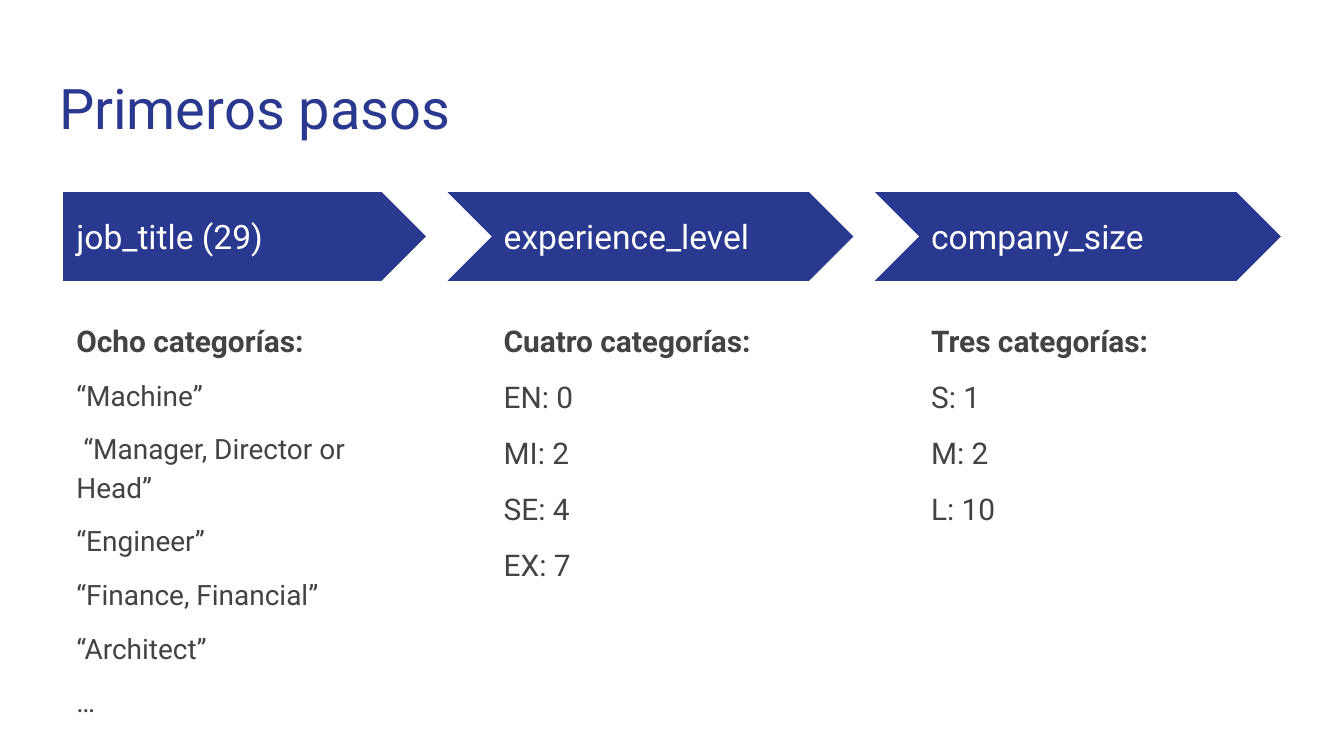
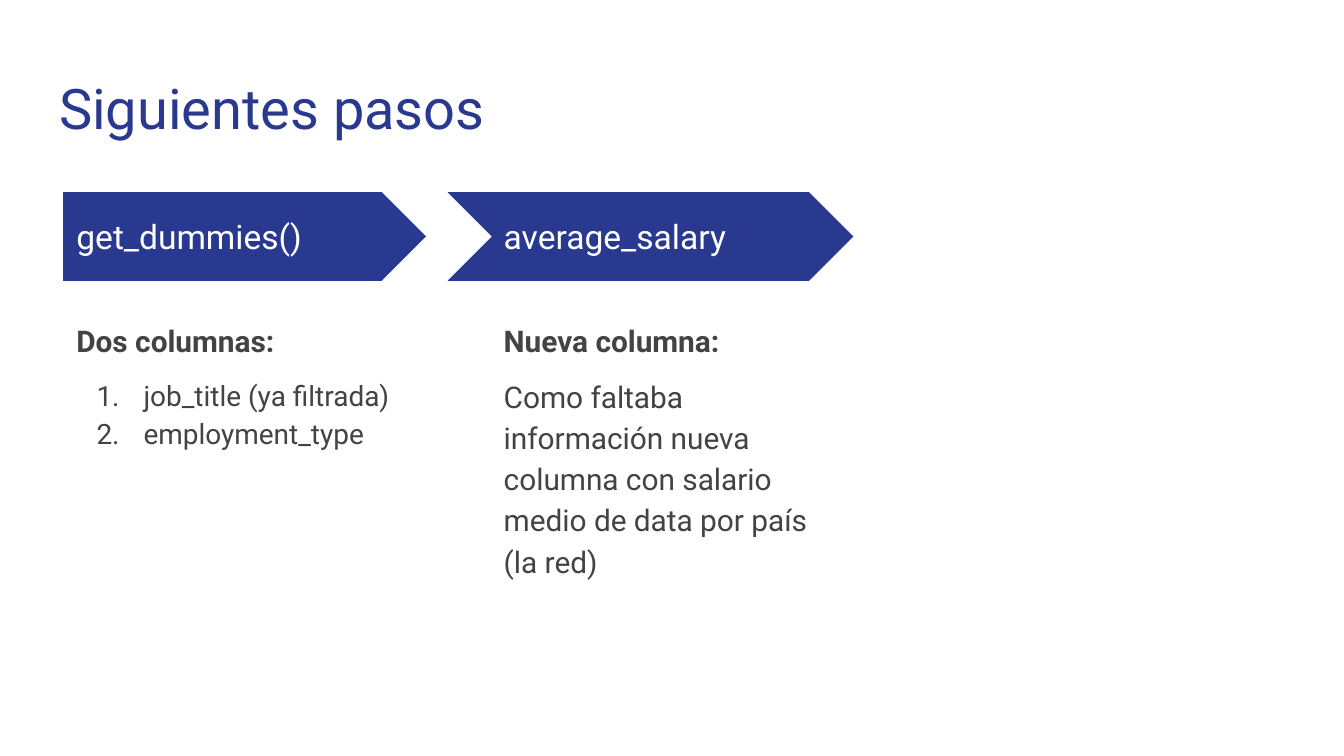
from lxml import etree
from pptx import Presentation
from pptx import util as u
from pptx.dml.color import RGBColor
from pptx.enum import shapes, text
from pptx.oxml import ns

PX = 9144  # 100 px to the inch
BLUE = RGBColor(0x2A, 0x39, 0x90)
GREY = RGBColor(0x43, 0x43, 0x43)
WHITE = RGBColor(0xFF, 0xFF, 0xFF)
FONT = "Roboto"

# Column grid
LEFT, PITCH, COLUMN_WIDTH = 47, 318, 270
ARROW_TOP, ARROW_HEIGHT, NOTCH = 143, 66, 32
LABEL_TOP, LABEL_WIDTH, LABEL_HEIGHT = 159, 247, 34
BODY_TOP = 226

# Each step: arrow label, heading, body lines, numbered or not
SLIDES = [
    ("Primeros pasos", [
        ("job_title (29)", "Ocho categorías:",
         ["“Machine”", " “Manager, Director or Head”", "“Engineer”",
          "“Finance, Financial”", "“Architect”", "…"], False),
        ("experience_level", "Cuatro categorías:",
         ["EN: 0", "MI: 2", "SE: 4", "EX: 7"], False),
        ("company_size", "Tres categorías:", ["S: 1", "M: 2", "L: 10"], False),
    ]),
    ("Siguientes pasos", [
        ("get_dummies()", "Dos columnas:",
         ["job_title (ya filtrada)", "employment_type"], True),
        ("average_salary", "Nueva columna:",
         ["Como faltaba información nueva columna con salario medio "
          "de data por país (la red)"], False),
    ]),
]


def set_text(shape, box, lines, size, color, anchor=text.MSO_ANCHOR.TOP):
    """Place a shape, fill it with one paragraph per line, return the paragraphs."""
    shape.left, shape.top, shape.width, shape.height = [n * PX for n in box]
    frame = shape.text_frame
    frame.word_wrap = True
    frame.auto_size = text.MSO_AUTO_SIZE.NONE
    frame.vertical_anchor = anchor
    frame.margin_left = frame.margin_right = 10 * PX
    frame.margin_top = frame.margin_bottom = 10 * PX
    frame.text = "\n".join(lines)
    for paragraph in frame.paragraphs:
        paragraph.alignment = text.PP_ALIGN.LEFT
        paragraph.font.name = FONT
        paragraph.font.size = u.Pt(size)
        paragraph.font.color.rgb = color
    return frame.paragraphs


def number(paragraph):
    """Give a paragraph an automatic number with a hanging indent."""
    properties = paragraph.font._element.getparent()
    properties.set("marL", str(50 * PX))
    properties.set("indent", str(-35 * PX))
    bullet = etree.Element(ns.qn("a:buAutoNum"), type="arabicPeriod")
    paragraph.font._element.addprevious(bullet)


presentation = Presentation()
presentation.slide_width = 1000 * PX
presentation.slide_height = u.Inches(5.625)
title_only = presentation.slide_layouts[5]

for title, steps in SLIDES:
    slide = presentation.slides.add_slide(title_only)
    set_text(slide.shapes.title, (34, 45, 932, 66), [title], 30, BLUE)

    for i, (label, heading, lines, numbered) in enumerate(steps):
        left = LEFT + i * PITCH
        first = i == 0

        # Arrow: the first is flat at the back, the others are notched
        kind = shapes.MSO_SHAPE.PENTAGON if first else shapes.MSO_SHAPE.CHEVRON
        notch = 0 if first else NOTCH
        arrow = slide.shapes.add_shape(
            kind, (left - notch) * PX, ARROW_TOP * PX,
            (COLUMN_WIDTH + notch) * PX, ARROW_HEIGHT * PX)
        arrow.shadow.inherit = False
        arrow.fill.solid()
        arrow.fill.fore_color.rgb = BLUE
        arrow.line.fill.background()

        # Arrow label
        set_text(slide.shapes.add_textbox(0, 0, 0, 0),
                 (left, LABEL_TOP, LABEL_WIDTH, LABEL_HEIGHT),
                 [label], 18, WHITE, text.MSO_ANCHOR.MIDDLE)

        # Heading and details
        paragraphs = set_text(
            slide.shapes.add_textbox(0, 0, 0, 0),
            (left, BODY_TOP, COLUMN_WIDTH, 322 if first else 290),
            [heading] + lines, 15 if first else 16, GREY)
        paragraphs[0].font.size = u.Pt(16)
        paragraphs[0].font.bold = True
        for n, paragraph in enumerate(paragraphs):
            paragraph.line_spacing = 1.15
            if n == 1 or (n > 1 and not numbered):
                paragraph.space_before = u.Pt(8)
            if n > 0 and numbered:
                number(paragraph)
        if not numbered:
            paragraphs[-1].space_after = u.Pt(8)

presentation.save("out.pptx")
